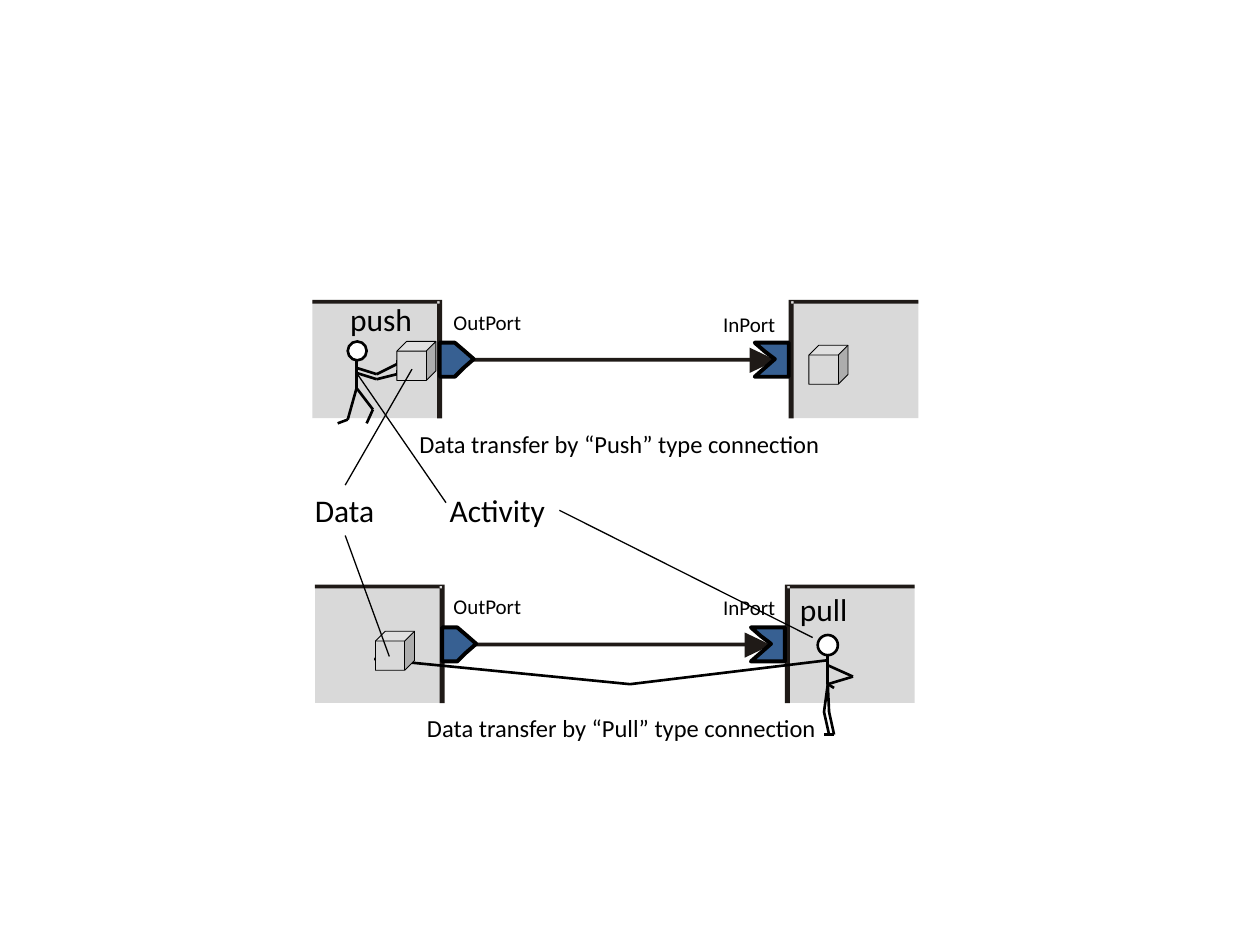
from itertools import pairwise

from lxml import etree
from pptx import Presentation
from pptx.dml.color import RGBColor
from pptx.enum.shapes import MSO_CONNECTOR, MSO_SHAPE
from pptx.enum.text import MSO_AUTO_SIZE
from pptx.oxml.ns import qn
from pptx.util import Inches, Pt

STRAIGHT = MSO_CONNECTOR.STRAIGHT
RECTANGLE, OVAL, CUBE = MSO_SHAPE.RECTANGLE, MSO_SHAPE.OVAL, MSO_SHAPE.CUBE
FIT_SHAPE = MSO_AUTO_SIZE.SHAPE_TO_FIT_TEXT
TOP, BOTTOM, RIGHT = 0, 2, 3
COLORS = {"ink": "1F1A17", "panel": "D9D9D9", "port": "376092",
          "black": "000000", "white": "FFFFFF"}
FONT = "Calibri"
CUBE_SIZE = 0.31
PANEL_WIDTH, PANEL_HEIGHT = 1.01, 0.93
BORDER_PARTS = [(0, 0, 1.01, 0.03), (1.01, 0, 1.03, 0.01), (0.99, 0.01, 1.03, 0.94)]
OUT_PORT = [(0, 0.27), (0.12, 0.27), (0.19, 0.2), (0.27, 0.13),
            (0.19, 0.06), (0.12, 0), (0, 0)]
IN_PORT = [(0, 0), (0.27, 0), (0.27, 0.27), (0, 0.27),
           (0.08, 0.2), (0.16, 0.13), (0.08, 0.07)]
ARROWHEAD = [(0.21, 0), (0, -0.1), (0, 0.1)]


def color(name):
    return RGBColor.from_string(COLORS[name])


def shift(points, left, top):
    return [(left + x, top + y) for x, y in points]


class Diagram:
    def __init__(self, slide):
        self.slide = slide

    def paint(self, shape, fill, line_width):
        shape.shadow.inherit = False
        shape.fill.solid()
        shape.fill.fore_color.rgb = color(fill)
        if line_width:
            shape.line.color.rgb = color("black")
            shape.line.width = Pt(line_width)
        else:
            shape.line.fill.background()

    def shape(self, kind, left, top, width, height, fill, line_width=0):
        shape = self.slide.shapes.add_shape(
            kind, Inches(left), Inches(top), Inches(width), Inches(height))
        self.paint(shape, fill, line_width)

    def outline(self, contours, fill, line_width=0):
        scaled = [[(Inches(x), Inches(y)) for x, y in points] for points in contours]
        builder = self.slide.shapes.build_freeform(*scaled[0][0])
        builder.add_line_segments(scaled[0][1:])
        for points in scaled[1:]:
            builder.move_to(*points[0])
            builder.add_line_segments(points[1:])
        self.paint(builder.convert_to_shape(), fill, line_width)

    def line(self, start, end, width):
        connector = self.slide.shapes.add_connector(
            STRAIGHT, *(Inches(value) for value in (*start, *end)))
        connector.line.color.rgb = color("black")
        connector.line.width = Pt(width)
        etree.SubElement(connector._element.spPr, qn("a:effectLst"))
        return connector

    def limb(self, *points):
        for start, end in pairwise(points):
            self.line(start, end, 1.5)

    def head(self, left, top, size):
        self.shape(OVAL, left, top, size, size, "white", 1.5)

    def cube(self, left, top):
        self.shape(CUBE, left, top, CUBE_SIZE, CUBE_SIZE, "panel", 0.5)

    def text(self, text, left, top, width, height, size):
        box = self.slide.shapes.add_textbox(
            Inches(left), Inches(top), Inches(width), Inches(height))
        for name, value in {"word_wrap": False, "auto_size": FIT_SHAPE}.items():
            setattr(box.text_frame, name, value)
        run = box.text_frame.paragraphs[0].add_run()
        run.text = text
        for name, value in {"name": FONT, "size": Pt(size)}.items():
            setattr(run.font, name, value)
        run.font.color.rgb = color("black")
        return box

    def panel(self, outer, top, direction):
        left = min(outer, outer + direction * PANEL_WIDTH)
        self.shape(RECTANGLE, left, top + 0.01, PANEL_WIDTH, PANEL_HEIGHT, "panel")
        contours = []
        for near, upper, far, lower in BORDER_PARTS:
            x1, x2 = outer + direction * near, outer + direction * far
            y1, y2 = top + upper, top + lower
            contours.append([(x1, y1), (x2, y1), (x2, y2), (x1, y2), (x1, y1)])
        self.outline(contours, "ink")

    def connection(self, left, right, top, arrow_left):
        self.shape(RECTANGLE, arrow_left, top + 0.46, 2.21, 0.03, "ink")
        self.outline([shift(ARROWHEAD, arrow_left + 2.2, top + 0.48)], "ink")
        self.panel(left, top, 1)
        self.panel(right, top, -1)
        self.outline([shift(IN_PORT, right - 1.3, top + 0.34)], "port", 2.25)
        self.outline([shift(OUT_PORT, left + 1.01, top + 0.34)], "port", 2.25)


def draw_push(diagram):
    diagram.connection(2.48, 7.29, 2.38, 3.75)
    diagram.head(2.76, 2.71, 0.15)
    diagram.limb((2.83, 2.86), (2.83, 3.08), (2.96, 3.25), (2.91, 3.36))
    diagram.limb((2.83, 3.08), (2.76, 3.33), (2.68, 3.36))
    diagram.limb((2.83, 2.92), (2.99, 2.97), (3.15, 2.89), (3.15, 2.86))
    diagram.limb((2.83, 2.96), (2.99, 3.01), (3.15, 2.97), (3.15, 2.94))
    diagram.cube(3.15, 2.71)
    diagram.cube(6.42, 2.74)
    diagram.text("push", 2.68, 2.33, 0.7, 0.4, 18)


def draw_pull(diagram):
    diagram.connection(2.5, 7.26, 4.64, 3.71)
    diagram.head(6.49, 5.04, 0.16)
    diagram.limb((6.57, 5.2), (6.57, 5.43), (6.54, 5.65), (6.58, 5.83), (6.54, 5.83))
    diagram.limb((6.57, 5.43), (6.58, 5.65), (6.62, 5.83), (6.58, 5.83))
    diagram.limb((6.57, 5.28), (6.77, 5.37), (6.57, 5.43), (6.62, 5.46))
    diagram.limb((6.57, 5.24), (5, 5.43), (2.97, 5.23))
    diagram.cube(2.98, 5.01)
    diagram.text("pull", 6.25, 4.63, 0.58, 0.4, 18)


def draw_labels(diagram):
    diagram.text("Data transfer by “Push” type connection", 3.23, 3.36, 3.41, 0.34, 14)
    diagram.text("Data transfer by “Pull” type connection", 3.29, 5.61, 3.32, 0.34, 14)
    data = diagram.text("Data", 2.4, 3.85, 0.68, 0.4, 18)
    diagram.line((2.74, 3.85), (3.27, 2.93), 0.75).begin_connect(data, TOP)
    diagram.line((2.74, 4.25), (3.09, 5.21), 0.75).begin_connect(data, BOTTOM)
    activity = diagram.text("Activity", 3.47, 3.85, 0.97, 0.4, 18)
    diagram.line((2.83, 2.96), (3.54, 3.99), 0.75)
    diagram.line((4.44, 4.05), (6.45, 5.06), 0.75).begin_connect(activity, RIGHT)
    for top in (2.41, 4.66):
        diagram.text("OutPort", 3.5, top, 0.75, 0.3, 12)
        diagram.text("InPort", 5.64, top + 0.01, 0.62, 0.3, 12)


def main():
    presentation = Presentation()
    presentation.slide_width = Inches(10)
    presentation.slide_height = Inches(7.5)
    slide = presentation.slides.add_slide(presentation.slide_layouts[6])
    diagram = Diagram(slide)
    draw_push(diagram)
    draw_pull(diagram)
    draw_labels(diagram)
    presentation.save("out.pptx")


if __name__ == "__main__":
    main()
